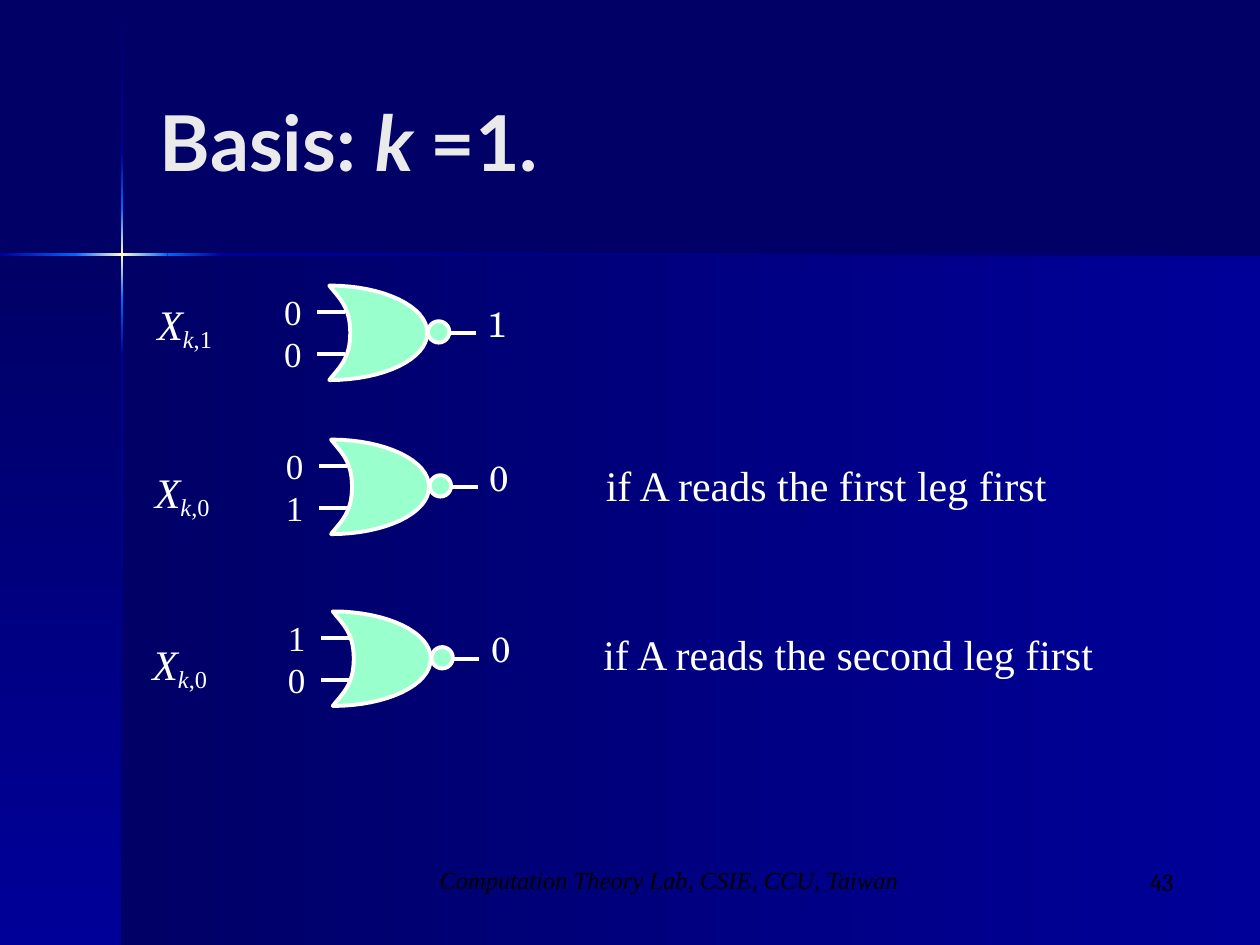
from copy import deepcopy

from pptx import Presentation
from pptx.dml.color import RGBColor
from pptx.enum.shapes import MSO_CONNECTOR, MSO_SHAPE
from pptx.enum.text import MSO_ANCHOR as ANCHOR, MSO_AUTO_SIZE, PP_ALIGN as ALIGN
from pptx.oxml.ns import qn
from pptx.util import Pt

NAVY = RGBColor(0x00, 0x00, 0x66)
BLUE = RGBColor(0x00, 0x00, 0x99)
BRIGHT = RGBColor(0x00, 0x66, 0xFF)
GLOW = RGBColor(0xFF, 0xFF, 0xCC)
MINT = RGBColor(0x99, 0xFF, 0xCC)
WHITE = RGBColor(0xFF, 0xFF, 0xFF)
BLACK = RGBColor(0x00, 0x00, 0x00)
TITLE_GREY = RGBColor(0xEA, 0xEA, 0xEA)

SERIF = "Times New Roman"
RIGHTWARD, DOWNWARD = 0, 270
INSETS = (7.2, 3.6, 7.2, 3.6)

# Gate outline relative to its top left corner: cubic curves with four points
GATE_CURVES = [
    ((0, 0), (6, 7.5), (12, 12.5), (12, 27)),
    ((12, 27), (12, 41.5), (6, 46.5), (0, 54)),
    ((0, 54), (31, 54), (56, 42), (56, 27)),
    ((56, 27), (56, 12), (31, 0), (0, 0)),
]


def curve_points(curve, steps=16):
    """Points along a cubic Bezier curve, without its start."""
    points = []
    for step in range(1, steps + 1):
        t = step / steps
        weights = ((1 - t) ** 3, 3 * t * (1 - t) ** 2, 3 * t * t * (1 - t), t ** 3)
        points.append(tuple(sum(w * p[axis] for w, p in zip(weights, curve))
                            for axis in (0, 1)))
    return points


class Painter:
    def __init__(self, slide):
        self.slide = slide
        self.shapes = slide.shapes

    def title(self, box, runs):
        """Fill the title with (text, italic) runs."""
        title = self.shapes.title
        title.left, title.top, title.width, title.height = map(Pt, box)
        frame = title.text_frame
        frame.auto_size = MSO_AUTO_SIZE.NONE
        frame.vertical_anchor = ANCHOR.MIDDLE
        paragraph = frame.paragraphs[0]
        paragraph.alignment = ALIGN.LEFT
        for text, italic in runs:
            run = paragraph.add_run()
            run.text = text
            self.style(run.font, 44, "Lato", TITLE_GREY, italic)
            run.font.bold = True

    def style(self, font, size, name, color, italic=False):
        font.size, font.name, font.italic = Pt(size), name, italic
        font.color.rgb = color

    def gradient(self, box, angle, *colors):
        shape = self.shapes.add_shape(MSO_SHAPE.RECTANGLE, *map(Pt, box))
        shape.shadow.inherit = False
        shape.line.fill.background()
        fill = shape.fill
        fill.gradient()
        fill.gradient_angle = angle
        stop_list = next(shape._element.iter(qn("a:gsLst")))
        for _ in colors[2:]:
            stop_list.append(deepcopy(stop_list[-1]))
        for index, (stop, color) in enumerate(zip(fill.gradient_stops, colors)):
            stop.position = index / (len(colors) - 1)
            stop.color.rgb = color

    def text(self, box, text, size=24, font=SERIF, color=WHITE, italic=False,
             align=ALIGN.LEFT, anchor=ANCHOR.TOP, wrap=True, insets=INSETS):
        shape = self.shapes.add_textbox(*map(Pt, box))
        frame = shape.text_frame
        frame.word_wrap = wrap
        frame.vertical_anchor = anchor
        (frame.margin_left, frame.margin_top,
         frame.margin_right, frame.margin_bottom) = map(Pt, insets)
        frame.text = text
        for paragraph in frame.paragraphs:
            paragraph.alignment = align
            for run in paragraph.runs:
                self.style(run.font, size, font, color, italic)
        return shape

    def variable(self, left, top, index):
        """Write X with the subscript k,index."""
        box = self.text((left, top, 53.3, 38.9), "X", italic=True)
        paragraph = box.text_frame.paragraphs[0]
        for text, italic in (("k", True), (f",{index}", False)):
            run = paragraph.add_run()
            run.text = text
            self.style(run.font, 24, SERIF, WHITE, italic)
            run.font._element.set("baseline", "-20000")

    def outline(self, shape):
        shape.shadow.inherit = False
        shape.fill.solid()
        shape.fill.fore_color.rgb = MINT
        shape.line.color.rgb = WHITE
        shape.line.width = Pt(2.25)

    def line(self, x1, x2, y):
        connector = self.shapes.add_connector(
            MSO_CONNECTOR.STRAIGHT, Pt(x1), Pt(y), Pt(x2), Pt(y))
        connector.line.color.rgb = WHITE
        connector.line.width = Pt(2.25)
        properties = connector._element.spPr
        properties.append(properties.makeelement(qn("a:effectLst"), {}))

    def nor_gate(self, left, top, inputs, output):
        points = [p for curve in GATE_CURVES for p in curve_points(curve)]
        builder = self.shapes.build_freeform(Pt(left), Pt(top))
        builder.add_line_segments(
            [(Pt(left + x), Pt(top + y)) for x, y in points], close=True)
        self.outline(builder.convert_to_shape())
        self.line(left + 56, left + 83.7, top + 27)
        for pin in (15, 39):
            self.line(left - 6.8, left + 9, top + pin)
        self.text((left - 33, top - 0.8, 24.5, 55.4), "\n".join(inputs), 20,
                  align=ALIGN.CENTER, anchor=ANCHOR.MIDDLE, wrap=False)
        self.outline(self.shapes.add_shape(
            MSO_SHAPE.OVAL, Pt(left + 56.4), Pt(top + 20.4), Pt(12.2), Pt(12.2)))
        self.text((left + 90.5, top + 20.4, 10, 13), output, 20, "TeX Gyre Schola",
                  anchor=ANCHOR.BOTTOM, wrap=False, insets=(0, 13, 0, 0))


def draw_backdrop(painter):
    background = painter.slide.background.fill
    background.solid()
    background.fore_color.rgb = NAVY
    painter.gradient((69.8, 145.4, 650.2, 394.6), RIGHTWARD, NAVY, BLUE)
    painter.gradient((0, 145.4, 69.8, 394.6), DOWNWARD, NAVY, BLUE)
    for top, bottom, *colors in (
            (0.7, 87.1, NAVY, BLUE), (203, 540, BLUE, NAVY),
            (171.4, 203, BRIGHT, BLUE), (87.1, 118.8, BLUE, BRIGHT),
            (118.8, 171.4, BRIGHT, GLOW, BRIGHT)):
        painter.gradient((69.1, top, 1.4, bottom - top), DOWNWARD, *colors)
    for left, right, *colors in (
            (127.4, 720, BLUE, NAVY), (0, 43.9, BLUE, BRIGHT),
            (95.8, 127.4, BRIGHT, BLUE), (43.2, 95.8, BRIGHT, GLOW, BRIGHT)):
        painter.gradient((left, 144.7, right - left, 1.4), RIGHTWARD, *colors)


def main():
    presentation = Presentation()
    presentation.slide_width, presentation.slide_height = Pt(720), Pt(540)
    painter = Painter(presentation.slides.add_slide(presentation.slide_layouts[5]))

    draw_backdrop(painter)
    painter.title((84.2, 23.8, 594, 113),
                  [("Basis: ", False), ("k ", True), ("=1.", False)])
    for left, top, inputs, output in ((188.2, 163.2, "00", "1"),
                                      (189.2, 251.2, "01", "0"),
                                      (190.2, 349.4, "10", "0")):
        painter.nor_gate(left, top, inputs, output)
    painter.text((339.1, 259.2, 290.2, 36), "if A reads the first leg first")
    painter.text((337.7, 355.7, 310.3, 36), "if A reads the second leg first")
    for left, top, index in ((82.8, 167, 1), (81.4, 262.8, 0), (80, 361.4, 0)):
        painter.variable(left, top, index)
    painter.text((225.4, 491, 313.9, 36), "Computation Theory Lab, CSIE, CCU, Taiwan",
                 14, color=BLACK, italic=True, align=ALIGN.CENTER)
    painter.text((527.8, 491.8, 149.8, 36), "43", 14, "Cambria", BLACK,
                 align=ALIGN.RIGHT)
    presentation.save("out.pptx")


if __name__ == "__main__":
    main()
